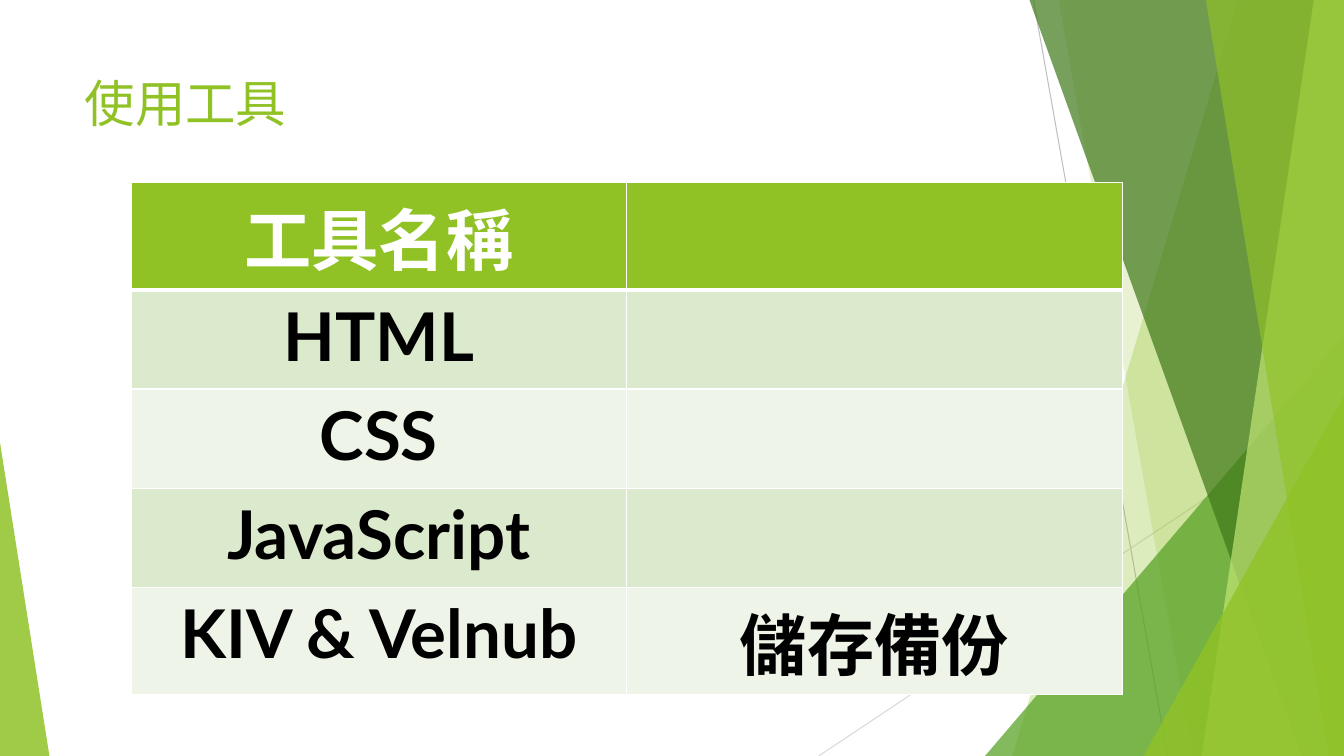
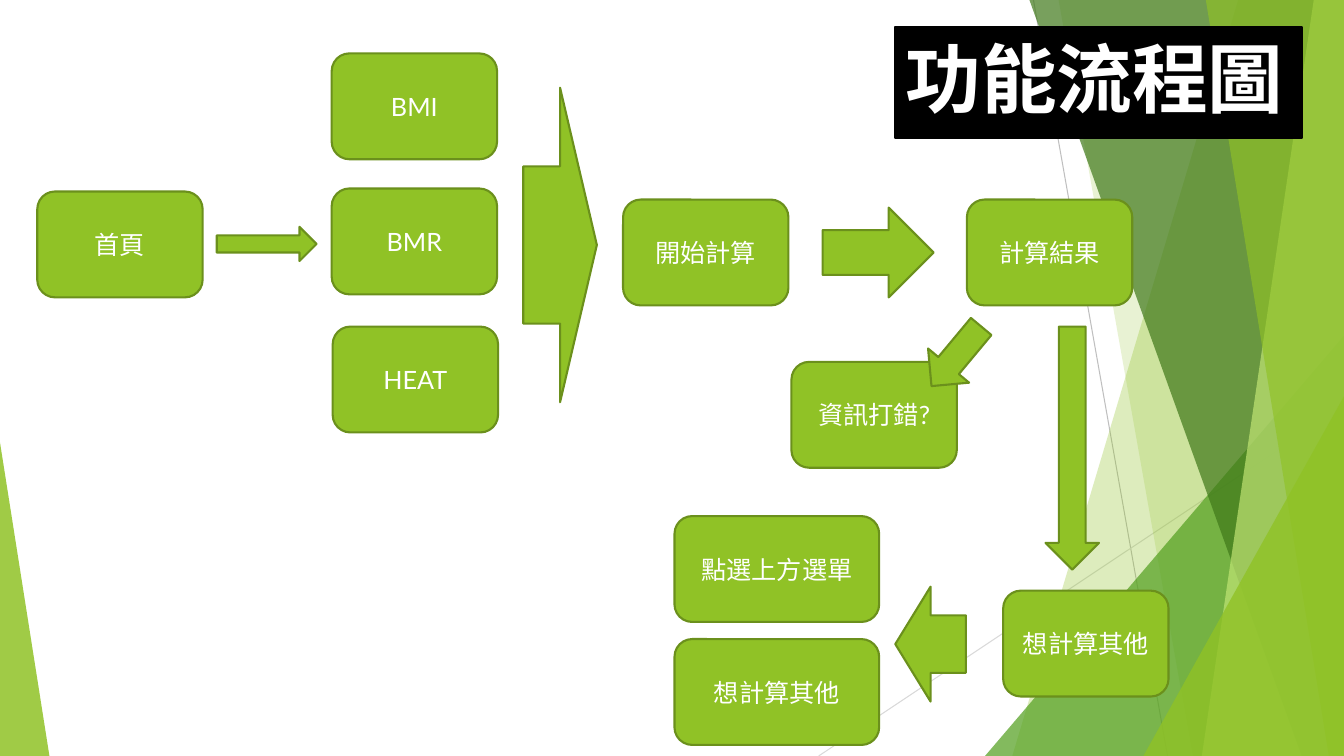
from lxml import etree
from pptx import Presentation
from pptx.dml.color import RGBColor
from pptx.enum.shapes import MSO_CONNECTOR, MSO_SHAPE
from pptx.enum.text import MSO_ANCHOR, MSO_AUTO_SIZE, PP_ALIGN
from pptx.oxml.ns import qn
from pptx.util import Inches, Pt

LEFT, CENTER = PP_ALIGN.LEFT, PP_ALIGN.CENTER
TOP, MIDDLE = MSO_ANCHOR.TOP, MSO_ANCHOR.MIDDLE
TRIANGLE, ROUNDED = MSO_SHAPE.ISOSCELES_TRIANGLE, MSO_SHAPE.ROUNDED_RECTANGLE
RIGHT_ARROW, LEFT_ARROW, DOWN_ARROW = MSO_SHAPE.RIGHT_ARROW, MSO_SHAPE.LEFT_ARROW, MSO_SHAPE.DOWN_ARROW

W, H = 13.33, 7.5
FONT = "Lato"
TITLE_ONLY = 5
COLORS = {
    "green": "90C226", "outline": "6B901C", "leaf": "54A021", "forest": "3F7819",
    "lime": "C0E474", "odd": "DBE9CD", "even": "EEF4E8", "white": "FFFFFF",
    "black": "000000", "gray": "BFBFBF", "pale": "D9D9D9",
}

RAYS = [((10.25, 0), (11.58, H), "gray"), ((W, 4.03), (8.12, H), "pale")]
FACETS = [
    ("band", (12.28, 10.04), "green", 30),
    ("band", (10.5, 11.83), "green", 20),
    ("triangle", (9.77, 3.33, 3.56, 1), "leaf", 72),
    ("band", (10.21, 12.91), "forest", 70),
    ("band", (13.03, 11.92), "lime", 70),
    ("band", (11.96, 13.18), "green", 65),
    ("triangle", (11.34, 3.93, 1.99, 1), "green", 80),
    ("triangle", (0, 4.39, 0.49, 0), "green", 85),
]

TOOLS = [
    ("工具名稱", ""),
    ("HTML", ""),
    ("CSS", ""),
    ("JavaScript", ""),
    ("KIV & Velnub", "儲存備份"),
]
TABLE_BOX = (1.3, 1.81, 9.83, 4.92)

STEP_H, STEP_W, MENU_W = 1.05, 1.64, 2.03
STEPS = [
    ("首頁", 0.37, 1.9, STEP_W),
    ("BMI", 3.29, 0.53, STEP_W),
    ("BMR", 3.29, 1.87, STEP_W),
    ("HEAT", 3.3, 3.24, STEP_W),
    ("開始計算", 6.18, 1.98, STEP_W),
    ("計算結果", 9.59, 1.98, STEP_W),
    ("資訊打錯?", 7.85, 3.59, STEP_W),
    ("想計算其他", 9.95, 5.86, STEP_W),
    ("點選上方選單", 6.69, 5.12, MENU_W),
    ("想計算其他", 6.69, 6.34, MENU_W),
]
ARROWS = [
    (RIGHT_ARROW, (2.15, 2.25, 0.99, 0.34), 0),
    (RIGHT_ARROW, (5.19, 0.87, 0.73, 3.12), 0),
    (RIGHT_ARROW, (8.16, 2.06, 1.1, 0.89), 0),
    (DOWN_ARROW, (9.22, 3.15, 0.53, 0.77), 39.8),
    (DOWN_ARROW, (10.37, 3.24, 0.53, 2.41), 0),
    (LEFT_ARROW, (8.88, 5.82, 0.7, 1.14), 0),
]


def rgb(name):
    return RGBColor.from_string(COLORS[name])


def inches(values):
    return [Inches(v) for v in values]


def place(sp, box):
    sp.left, sp.top, sp.width, sp.height = inches(box)


def put_text(tf, text, size=18, color="white", bold=False, align=CENTER):
    p = tf.paragraphs[0]
    p.alignment = align
    r = p.add_run()
    r.text = text
    r.font.name, r.font.size, r.font.bold = FONT, Pt(size), bold
    r.font.color.rgb = rgb(color)


def paint(sp, fill, line=None, alpha=100):
    sp.shadow.inherit = False
    sp.fill.solid()
    sp.fill.fore_color.rgb = rgb(fill)
    if alpha < 100:
        color = sp.fill._xPr.find(qn("a:solidFill"))[0]
        etree.SubElement(color, qn("a:alpha"), val=str(alpha * 1000))
    if line:
        sp.line.color.rgb = rgb(line)
        sp.line.width = Pt(1.5)
    else:
        sp.line.fill.background()


def add_ray(shapes, start, end, color):
    line = shapes.add_connector(MSO_CONNECTOR.STRAIGHT, *inches(start + end))
    line.line.color.rgb = rgb(color)
    line.line.width = Pt(0.75)
    etree.SubElement(line._element.spPr, qn("a:effectLst"))
    return line


def add_facet(shapes, kind, geometry, color, alpha):
    if kind == "band":
        top, bottom = geometry
        outline = shapes.build_freeform(*inches((top, 0)))
        outline.add_line_segments([inches(pt) for pt in ((W, 0), (W, H), (bottom, H))])
        sp = outline.convert_to_shape()
    else:
        x, y, w, apex = geometry
        sp = shapes.add_shape(TRIANGLE, *inches((x, y, w, H - y)))
        sp.adjustments[0] = apex
    paint(sp, color, alpha=alpha)
    return sp


def style_layout(layout, shapes):
    title = layout.placeholders[0]
    place(title, (0.74, 0.67, 9.4, 1.44))
    title.text_frame.vertical_anchor = TOP
    title.text_frame.auto_size = MSO_AUTO_SIZE.NONE
    decor = [add_ray(shapes, *ray) for ray in RAYS]
    decor += [add_facet(shapes, *facet) for facet in FACETS]
    for i, sp in enumerate(decor):
        el = sp._element
        el.xpath(".//p:cNvPr")[0].set("id", str(100 + i))
        layout.shapes.element.insert(2 + i, el)


def add_border(cell, side, width):
    ln = etree.SubElement(cell._tc.get_or_add_tcPr(), qn(f"a:ln{side}"), w=str(Pt(width)))
    fill = etree.SubElement(ln, qn("a:solidFill"))
    etree.SubElement(fill, qn("a:srgbClr"), val=COLORS["white"])


def add_tools(slide):
    put_text(slide.shapes.title.text_frame, "使用工具", size=36, color="green", align=LEFT)
    frame = slide.shapes.add_table(len(TOOLS), len(TOOLS[0]), *inches(TABLE_BOX))
    for i, row in enumerate(TOOLS):
        header = i == 0
        fill = "green" if header else "odd" if i % 2 else "even"
        for j, text in enumerate(row):
            cell = frame.table.cell(i, j)
            for side in "LRTB":
                heavy = (i, side) in ((0, "B"), (1, "T"))
                add_border(cell, side, 3 if heavy else 1)
            cell.fill.solid()
            cell.fill.fore_color.rgb = rgb(fill)
            if text:
                put_text(cell.text_frame, text, size=48, bold=True,
                         color="white" if header else "black")


def add_flow(slide):
    title = slide.shapes.title
    place(title, (8.88, 0.27, 4.03, 1.1))
    paint(title, "black", "black")
    put_text(title.text_frame, "功能流程圖", size=54, bold=True, align=LEFT)
    for text, x, y, w in STEPS:
        sp = slide.shapes.add_shape(ROUNDED, *inches((x, y, w, STEP_H)))
        paint(sp, "green", "outline")
        sp.text_frame.word_wrap = True
        sp.text_frame.vertical_anchor = MIDDLE
        put_text(sp.text_frame, text)
    for kind, box, angle in ARROWS:
        sp = slide.shapes.add_shape(kind, *inches(box))
        sp.rotation = angle
        paint(sp, "green", "outline")


def main():
    prs = Presentation()
    prs.slide_width, prs.slide_height = inches((W, H))
    layout = prs.slide_layouts[TITLE_ONLY]
    tools, flow = [prs.slides.add_slide(layout) for _ in range(2)]
    style_layout(layout, tools.shapes)
    add_tools(tools)
    add_flow(flow)
    prs.save("out.pptx")


if __name__ == "__main__":
    main()
